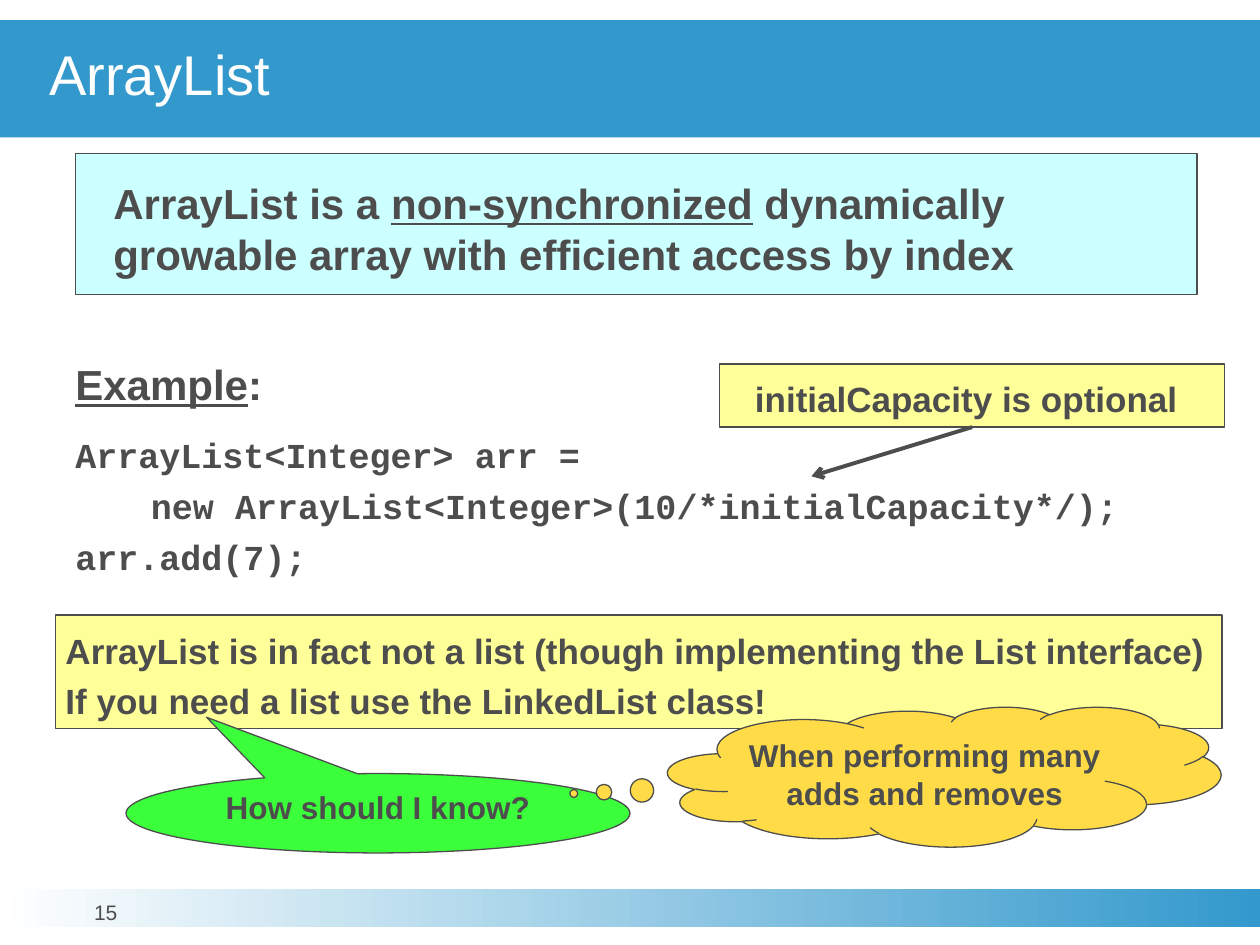
from lxml import etree
from pptx import Presentation
from pptx.dml.color import RGBColor
from pptx.enum.shapes import MSO_CONNECTOR as Line, MSO_SHAPE as Shape
from pptx.enum.text import MSO_ANCHOR as Anchor, MSO_AUTO_SIZE as Auto, PP_ALIGN as Align
from pptx.oxml.ns import qn
from pptx.util import Inches, Pt

# Content: a paragraph is a list of (text, underlined) runs
TITLE = "ArrayList"
NUMBER = "15"
INTRO = [[("ArrayList is a ", False), ("non-synchronized", True),
          (" dynamically growable array with efficient access by index", False)]]
EXAMPLE = [("Example", True), (":", False)]
CODE = [  # text, left indent, space before
    ("ArrayList<Integer> arr =", 0, 14),
    ("new ArrayList<Integer>(10/*initialCapacity*/);", 0.6, 5),
    ("arr.add(7);", 0, 5),
]
FACTS = ["ArrayList is in fact not a list (though implementing the List interface)",
         "If you need a list use the LinkedList class!"]
OPTION = ["initialCapacity is optional"]
ASK = ["How should I know?"]
REPLY = ["When performing many adds and removes"]

# Colours and places (left, top, width, height in percent of the slide)
INK, WHITE, BLUE = "4D4D4D", "FFFFFF", "3399CC"
CYAN, YELLOW, GREEN, GOLD = "CCFFFF", "FFFF99", "3BFF3B", "FFDC47"
NOTE = (0.08, 0.14, 0.08, 0.08)
WIDE, HIGH = Inches(10), Inches(7.5)


def color(code):
    return RGBColor.from_string(code)


def place(*share):
    return [round(v * (HIGH if i % 2 else WIDE) / 100) for i, v in enumerate(share)]


def indent(para, left):
    props = para._p.get_or_add_pPr()
    props.set("marL", str(Inches(left)))
    props.set("indent", "0")


def fill_para(para, runs, size=20, font="Arial", ink=INK, bold=True,
              align=Align.LEFT, left=0, before=0, lines=None):
    indent(para, left)
    para.alignment = align
    para.space_before = Pt(before)
    if lines:
        para.line_spacing = lines
    for text, under in [(runs, False)] if isinstance(runs, str) else runs:
        run = para.add_run()
        run.text = text
        face = run.font
        face.name, face.size, face.bold = font, Pt(size), bold
        face.underline = under
        face.color.rgb = color(ink)


def write(shape, paras, inset=(0, 0, 0, 0), anchor=Anchor.TOP, gap=5, **form):
    frame = shape.text_frame
    frame.word_wrap, frame.auto_size = True, Auto.NONE
    frame.vertical_anchor = anchor
    (frame.margin_left, frame.margin_top,
     frame.margin_right, frame.margin_bottom) = map(Inches, inset)
    for i, runs in enumerate(paras):
        para = frame.add_paragraph() if i else frame.paragraphs[0]
        fill_para(para, runs, before=gap if i else 0, **form)
    return frame


def draw(kind, share, fill, adjust=()):
    shape = slide.shapes.add_shape(kind, *place(*share))
    shape.shadow.inherit = False
    shape.fill.solid()
    shape.fill.fore_color.rgb = color(fill)
    shape.line.color.rgb = color(INK)
    shape.line.width = Pt(0.75)
    for i, value in enumerate(adjust):
        shape.adjustments[i] = value
    return shape


deck = Presentation()
deck.slide_width, deck.slide_height = WIDE, HIGH
slide = deck.slides.add_slide(deck.slide_layouts[5])

# Title band
title = slide.shapes.title
title.left, title.top, title.width, title.height = place(0, 2.13, 100, 12.4)
title.fill.solid()
title.fill.fore_color.rgb = color(BLUE)
write(title, [TITLE], anchor=Anchor.MIDDLE, size=32, ink=WHITE, bold=False,
      left=0.39, lines=0.85)

# Footer band and slide number
foot = draw(Shape.RECTANGLE, (0, 94.13, 100, 4), WHITE)
foot.line.fill.background()
foot.fill.gradient()
foot.fill.gradient_angle = 0
for stop, spot, code in zip(foot.fill.gradient_stops, (0, 1), (WHITE, BLUE)):
    stop.position, stop.color.rgb = spot, color(code)
page = slide.shapes.add_textbox(*place(3.1, 95.47, 10.6, 4.13))
write(page, [NUMBER], size=12, bold=False, align=Align.CENTER, lines=Pt(13))

# Example code
code_box = slide.shapes.add_textbox(*place(5, 37.33, 90, 26.8))
frame = write(code_box, [EXAMPLE], (0.1, 0.05, 0.1, 0.05), size=24)
for text, left, before in CODE:
    fill_para(frame.add_paragraph(), text, font="Courier New", left=left, before=before)

# Definition and notes
intro = draw(Shape.RECTANGLE, (6, 16.27, 89, 14.93), CYAN)
write(intro, INTRO, (0, 0.19, 0, 0), size=24, left=0.3)
facts = draw(Shape.RECTANGLE, (4.4, 65.07, 92.6, 12), YELLOW)
write(facts, FACTS, NOTE, Anchor.MIDDLE)
option = draw(Shape.RECTANGLE, (57.1, 38.53, 40.1, 6.67), YELLOW)
write(option, OPTION, (0.08, 0.12, 0.17, 0.08), Anchor.MIDDLE, align=Align.CENTER)

# Arrow from the note to the argument
arrow = slide.shapes.add_connector(Line.STRAIGHT, *place(76.8, 45.33, 64.4, 50.4))
arrow.begin_connect(option, 2)
arrow.line.color.rgb = color(INK)
arrow.line.width = Pt(2.25)
etree.SubElement(arrow.line._get_or_add_ln(), qn("a:tailEnd"), type="arrow")
etree.SubElement(arrow._element.spPr, qn("a:effectLst"))

# Callouts
ask = draw(Shape.OVAL_CALLOUT, (10, 81.87, 40, 8.4), GREEN, (-0.34, -1.21))
write(ask, ASK, (0, 0.02, 0, 0), size=18, align=Align.CENTER)
reply = draw(Shape.CLOUD_CALLOUT, (53, 74.8, 43.9, 14.8), GOLD, (-0.67, 0.12))
write(reply, REPLY, anchor=Anchor.MIDDLE, size=18, align=Align.CENTER)

deck.save("out.pptx")
